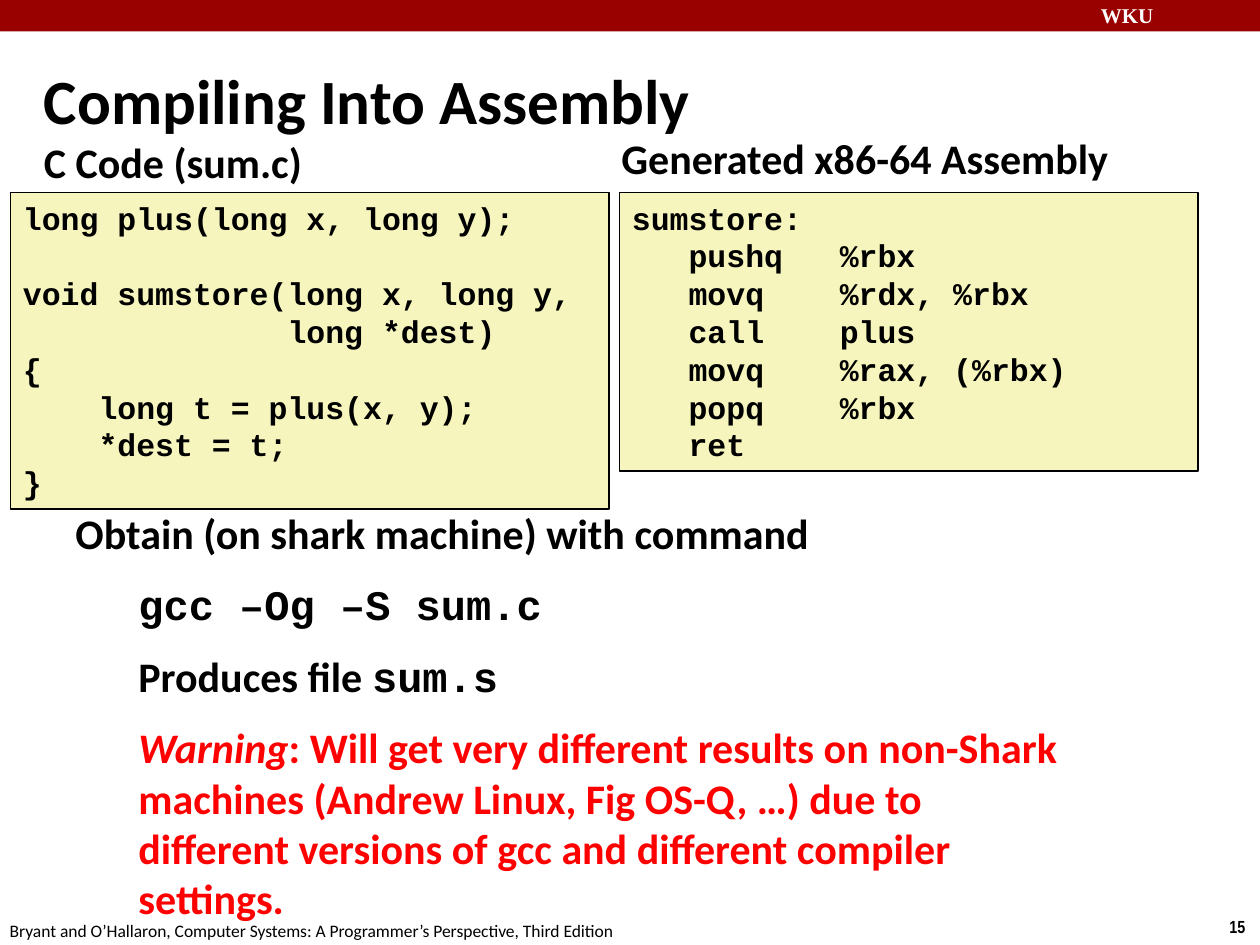
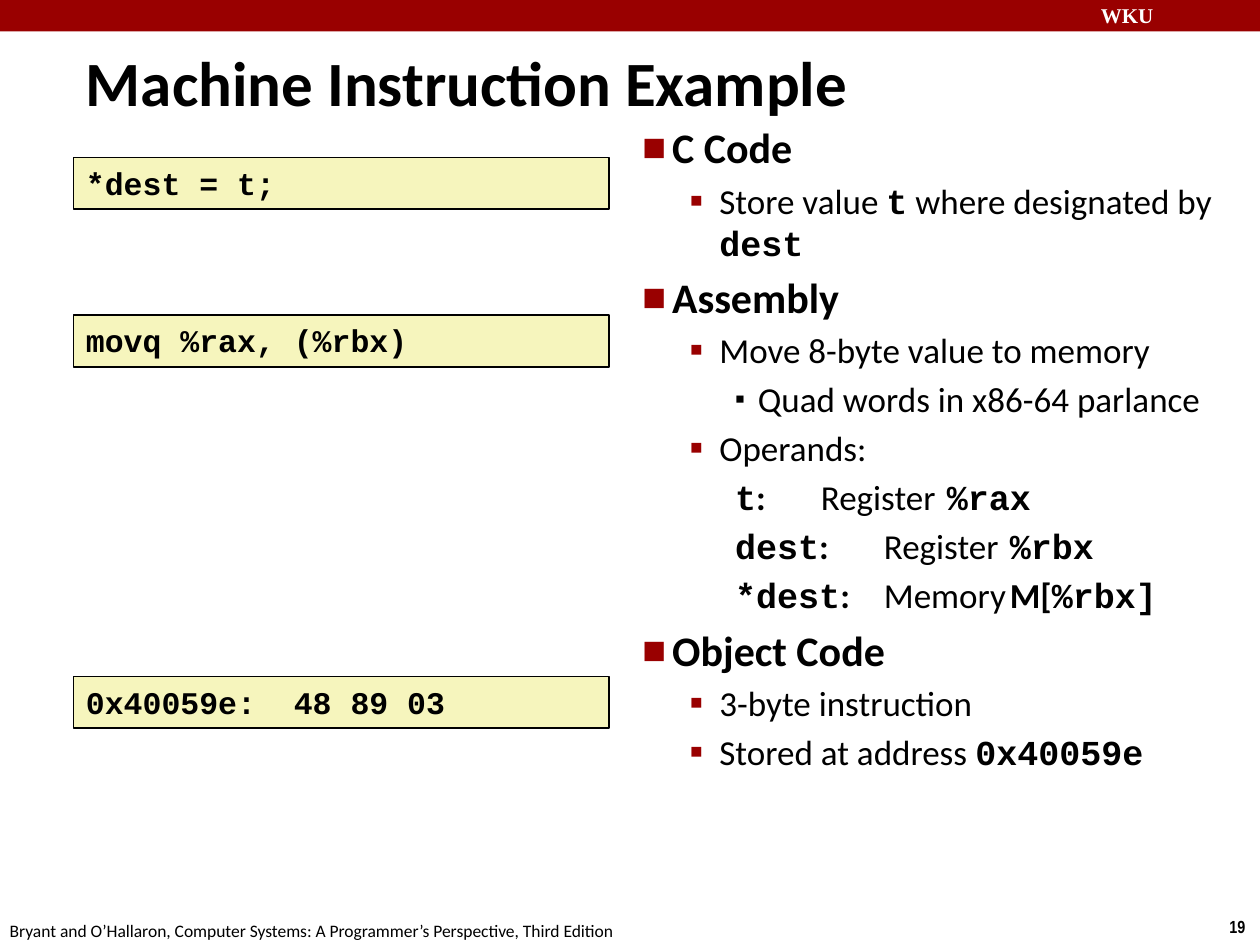
from lxml import etree
from pptx import Presentation
from pptx.dml.color import RGBColor
from pptx.enum.shapes import MSO_SHAPE
from pptx.enum.text import MSO_ANCHOR
from pptx.oxml.ns import qn
from pptx.util import Pt

RECTANGLE = MSO_SHAPE.RECTANGLE
TOP, MIDDLE = MSO_ANCHOR.TOP, MSO_ANCHOR.MIDDLE

COLOURS = {
    "band": "990000",
    "code_fill": "F6F5BD",
    "text": "000000",
    "band_text": "FFFFFF",
    "warning": "FF0000",
}
BODY_FONT, CODE_FONT = "Calibri", "Courier New"
BAND_FONT, NUMBER_FONT = "Times New Roman", "Arial Narrow"

# Span styles: font, bold, italic, colour
STYLES = {
    "plain": (BODY_FONT, False, False, "text"),
    "bold": (BODY_FONT, True, False, "text"),
    "code": (CODE_FONT, True, False, "text"),
    "warning": (BODY_FONT, True, False, "warning"),
    "stress": (BODY_FONT, True, True, "warning"),
    "band": (BAND_FONT, True, False, "band_text"),
    "number": (NUMBER_FONT, True, False, "text"),
}

# Paragraph levels: size, left margin, first-line indent, space before as a
# share of the size, bullet (character, size in percent, colour) or None
LEVELS = {
    "command": (24, 0, 0, 0.5, None),
    "command_detail": (24, 36, 0, 0.5, None),
    "topic": (24, 17, -17, 0.2, ("■", 60, "band")),
    "point": (20, 44, -17, 0.2, ("▪", 110, "band")),
    "detail": (20, 66, -13, 0.2, ("▪", 80, "text")),
    "operand": (20, 66, -13, 0.2, None),
}
OPERAND_TABS = (126, 198)

BAND_LABEL = "WKU"
FOOTER = "Bryant and O’Hallaron, Computer Systems: A Programmer’s Perspective, Third Edition"

C_CODE = """long plus(long x, long y);

void sumstore(long x, long y,
              long *dest)
{
    long t = plus(x, y);
    *dest = t;
}"""
ASSEMBLY = """sumstore:
   pushq   %rbx
   movq    %rdx, %rbx
   call    plus
   movq    %rax, (%rbx)
   popq    %rbx
   ret"""

COMMAND_NOTES = [
    ("command", [("Obtain (on shark machine) with command", "bold")]),
    ("command_detail", [("gcc –Og –S sum.c", "code")]),
    ("command_detail", [("Produces file ", "bold"), ("sum.s", "code")]),
    ("command_detail", [
        ("Warning", "stress"),
        (": Will get very different results on non-Shark machines "
         "(Andrew Linux, Fig OS-Q, …) due to different versions of gcc "
         "and different compiler settings.", "warning"),
    ]),
]

INSTRUCTION_NOTES = [
    ("topic", [("C Code", "bold")]),
    ("point", [("Store value ", "plain"), ("t", "code"),
               (" where designated by ", "plain"), ("dest", "code")]),
    ("topic", [("Assembly", "bold")]),
    ("point", [("Move 8-byte value to memory", "plain")]),
    ("detail", [("Quad words in x86-64 parlance", "plain")]),
    ("point", [("Operands:", "plain")]),
    ("operand", [("t", "code"), (":\t", "bold"),
                 ("Register\t", "plain"), ("%rax", "code")]),
    ("operand", [("dest", "code"), (":\t", "bold"),
                 ("Register\t", "plain"), ("%rbx", "code")]),
    ("operand", [("*dest", "code"), (": ", "bold"), ("\tMemory\t", "plain"),
                 ("M[", "bold"), ("%rbx]", "code")]),
    ("topic", [("Object Code", "bold")]),
    ("point", [("3-byte instruction", "plain")]),
    ("point", [("Stored at address ", "plain"), ("0x40059e", "code")]),
]

# Code text and its top edge
INSTRUCTION_FORMS = [
    ("*dest = t;", 90),
    ("movq %rax, (%rbx)", 180),
    ("0x40059e:  48 89 03", 386.6),
]


def colour(name):
    return RGBColor.from_string(COLOURS[name])


def style_font(font, style, size):
    font.name, font.bold, font.italic, colour_name = STYLES[style]
    font.size = Pt(size)
    font.color.rgb = colour(colour_name)


def add_text(page, text, style, size, place, anchor=TOP, wrap=True):
    box = page.shapes.add_textbox(*map(Pt, place))
    frame = box.text_frame
    frame.word_wrap = wrap
    frame.vertical_anchor = anchor
    frame.text = text
    style_font(frame.paragraphs[0].runs[0].font, style, size)


def add_rectangle(page, place, fill):
    shape = page.shapes.add_shape(RECTANGLE, *map(Pt, place))
    shape.shadow.inherit = False
    shape.fill.solid()
    shape.fill.fore_color.rgb = colour(fill)
    shape.line.fill.background()
    return shape


def add_code(page, code, left, top, width):
    """Add a framed listing whose height follows its number of lines."""
    height = 21.6 * len(code.splitlines()) + 8
    box = add_rectangle(page, (left, top, width, height), "code_fill")
    box.line.color.rgb = colour("text")
    box.line.width = Pt(1)
    frame = box.text_frame
    frame.word_wrap = True
    frame.vertical_anchor = TOP
    frame.text = code
    for paragraph in frame.paragraphs:
        paragraph.alignment = 1
        style_font(paragraph.font, "code", 18)
        for span in paragraph.runs:
            style_font(span.font, "code", 18)


def format_level(paragraph, margin, indent, bullet, tabs):
    """Set indents, bullet and tab stops, in the order the schema asks for."""
    properties = paragraph._p.get_or_add_pPr()
    properties.set("marL", str(Pt(margin)))
    properties.set("indent", str(Pt(indent)))

    def add(parent, tag, **attributes):
        return etree.SubElement(parent, qn(tag), attributes)

    if bullet:
        character, percent, colour_name = bullet
        add(add(properties, "a:buClr"), "a:srgbClr", val=COLOURS[colour_name])
        add(properties, "a:buSzPct", val=str(percent * 1000))
        add(properties, "a:buFont", typeface=BODY_FONT)
        add(properties, "a:buChar", char=character)
    else:
        add(properties, "a:buNone")
    if tabs:
        tab_list = add(properties, "a:tabLst")
        for position in tabs:
            add(tab_list, "a:tab", pos=str(Pt(position)), algn="l")


def add_notes(page, notes, place, tabs=()):
    frame = page.shapes.add_textbox(*map(Pt, place)).text_frame
    frame.word_wrap = True
    for index, (level, spans) in enumerate(notes):
        paragraph = frame.add_paragraph() if index else frame.paragraphs[0]
        size, margin, indent, space, bullet = LEVELS[level]
        format_level(paragraph, margin, indent, bullet, tabs)
        if index:
            paragraph.space_before = Pt(space * size)
        for text, style in spans:
            span = paragraph.add_run()
            span.text = text
            style_font(span.font, style, size)


def add_page(deck, number, title, title_place):
    page = deck.slides.add_slide(deck.slide_layouts[6])
    add_rectangle(page, (0, 0, 720, 18), "band")
    add_text(page, BAND_LABEL, "band", 12, (622, -2, 103, 22))
    add_text(page, str(number), "number", 10, (695.5, 520, 24.5, 19.4), wrap=False)
    add_text(page, FOOTER, "plain", 10, (-1.5, 522, 366, 19.4), wrap=False)
    add_text(page, title, "bold", 36, title_place, MIDDLE)
    return page


def add_compiling_page(deck):
    page = add_page(deck, 15, "Compiling Into Assembly", (18, 34.5, 539, 44))
    add_text(page, "C Code (sum.c)", "bold", 24, (18, 74.5, 192, 29))
    add_code(page, C_CODE, 6, 110, 342)
    add_text(page, "Generated x86-64 Assembly", "bold", 24, (348, 72, 324, 32))
    add_code(page, ASSEMBLY, 354, 110, 330.5)
    add_notes(page, COMMAND_NOTES, (36, 286.5, 588, 268.5))


def add_instruction_page(deck):
    page = add_page(deck, 19, "Machine Instruction Example", (42, 24, 572, 45))
    add_notes(page, INSTRUCTION_NOTES, (360, 66, 360, 456), OPERAND_TABS)
    for code, top in INSTRUCTION_FORMS:
        add_code(page, code, 42, top, 306)


def main():
    deck = Presentation()
    deck.slide_width, deck.slide_height = Pt(720), Pt(540)
    add_compiling_page(deck)
    add_instruction_page(deck)
    deck.save("out.pptx")


if __name__ == "__main__":
    main()
